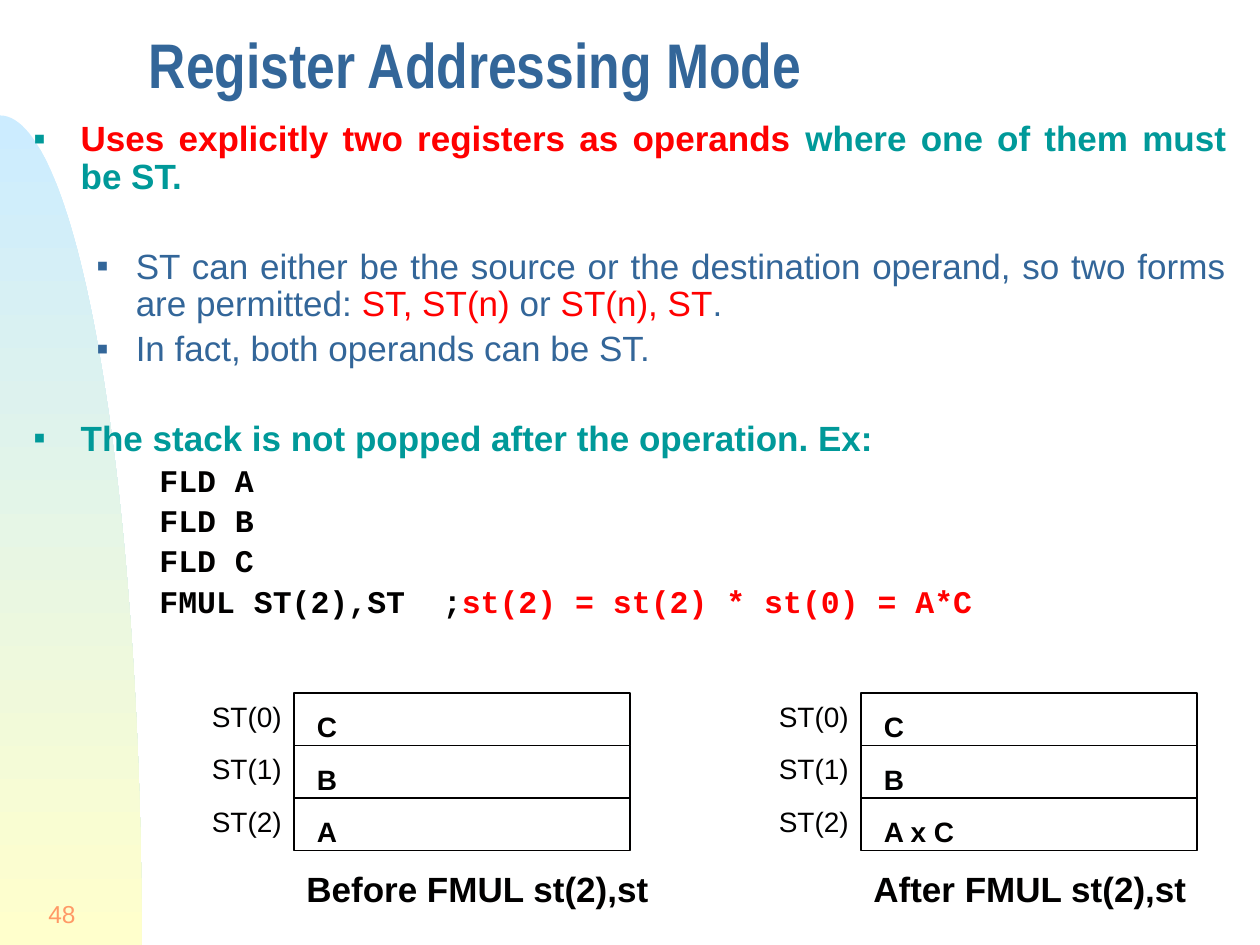
import math

import pptx
import pptx.dml.color
import pptx.enum.shapes
import pptx.enum.text
import pptx.oxml.ns
import pptx.util
from lxml import etree

EMU_PER_PX = 9525
BLACK, RED, BLUE, TEAL = "010000", "FF0000", "336699", "009999"
ALIGN = pptx.enum.text.PP_ALIGN
ANCHOR = pptx.enum.text.MSO_ANCHOR
AUTO_SIZE = pptx.enum.text.MSO_AUTO_SIZE


def px(length):
    return pptx.util.Emu(length * EMU_PER_PX)


def color(value):
    return pptx.dml.color.RGBColor.from_string(value)


class SlideBuilder:
    font_name = "Arial"
    line_spacing = 0.9
    space_before = 0.2
    blank_line = 25.5

    def __init__(self, slide):
        self.slide = slide

    def set_font(self, font, size, hex_color, bold=False, name=None):
        font.name = name or self.font_name
        font.size = pptx.util.Pt(size)
        font.bold = bold
        font.color.rgb = color(hex_color)

    def text_frame(self, left, top, width, height):
        frame = self.slide.shapes.add_textbox(px(left), px(top), px(width), px(height)).text_frame
        frame.word_wrap = True
        return frame

    def line_of_text(self, text, box, size, hex_color, bold=False, name=None,
                     align=ALIGN.LEFT, spacing=None):
        frame = self.text_frame(*box)
        frame.vertical_anchor = ANCHOR.MIDDLE
        paragraph = frame.paragraphs[0]
        paragraph.text = text
        paragraph.alignment = align
        paragraph.line_spacing = spacing
        self.set_font(paragraph.font, size, hex_color, bold, name)

    def label(self, text, box, size, bold=False):
        frame = self.text_frame(*box)
        frame.word_wrap = False
        frame.auto_size = AUTO_SIZE.SHAPE_TO_FIT_TEXT
        paragraph = frame.paragraphs[0]
        paragraph.text = text
        self.set_font(paragraph.font, size, BLACK, bold)

    def bullet(self, paragraph, hex_color):
        properties = paragraph._p.get_or_add_pPr()
        qn = pptx.oxml.ns.qn
        bullet_color = etree.SubElement(properties, qn("a:buClr"))
        etree.SubElement(bullet_color, qn("a:srgbClr"), val=hex_color)
        etree.SubElement(properties, qn("a:buFont"), typeface=self.font_name)
        etree.SubElement(properties, qn("a:buChar"), char="▪")

    def body(self, box, items):
        styles = {
            "point": (0, 36, -36, 20, TEAL, True, None),
            "detail": (1, 78, -30, 20, BLUE, False, None),
            "code": (2, 120, -24, 18, BLACK, True, "Courier New"),
        }
        frame = self.text_frame(*box)
        for index, (kind, gap, runs) in enumerate(items):
            level, margin, indent, size, base, bold, name = styles[kind]
            paragraph = frame.add_paragraph() if index else frame.paragraphs[0]
            paragraph.level = level
            paragraph.alignment = ALIGN.JUSTIFY
            paragraph.line_spacing = self.line_spacing
            extra = self.blank_line if gap else 0
            paragraph.space_before = pptx.util.Pt(size * self.space_before + extra)
            properties = paragraph._p.get_or_add_pPr()
            properties.set("marL", str(px(margin)))
            properties.set("indent", str(px(indent)))
            if kind != "code":
                self.bullet(paragraph, base)
            self.set_font(paragraph.font, size, base, bold, name)
            for text, accent in runs:
                run = paragraph.add_run()
                run.text = text
                if accent:
                    run.font.color.rgb = color(accent)

    def cell(self, left, top, width, height):
        shape = self.slide.shapes.add_shape(
            pptx.enum.shapes.MSO_SHAPE.RECTANGLE, px(left), px(top), px(width), px(height))
        shape.shadow.inherit = False
        shape.fill.background()
        shape.line.color.rgb = color(BLACK)
        shape.line.width = pptx.util.Pt(1)

    def side_curve(self, top, width, height, steps=60):
        angles = [math.pi / 2 * step / steps for step in range(1, steps + 1)]
        arc = [(px(1) * width * math.sin(angle), px(1) * (top + height - height * math.cos(angle)))
               for angle in angles]
        builder = self.slide.shapes.build_freeform(0, px(top))
        builder.add_line_segments(arc + [(0, px(top + height))], close=True)
        shape = builder.convert_to_shape()
        shape.shadow.inherit = False
        shape.line.fill.background()
        shape.fill.gradient()
        shape.fill.gradient_angle = 270
        for stop, hex_color in zip(shape.fill.gradient_stops, ("CCECFF", "FFFFCC")):
            stop.color.rgb = color(hex_color)

    def register_stack(self, left, values, caption, caption_width):
        top, row_height = 528, 40
        for row, (value, value_width) in enumerate(values):
            row_top = top + row * row_height
            self.cell(left, row_top, 256, row_height)
            self.label(f"ST({row})", (left - 72, row_top, 73, 35), 16)
            self.label(value, (left + 8, row_top + 8, value_width, 35), 16, bold=True)
        self.label(caption, (left, top + 128, caption_width, 41), 20, bold=True)


def main():
    presentation = pptx.Presentation()
    presentation.slide_width = px(960)
    presentation.slide_height = px(720)
    builder = SlideBuilder(presentation.slides.add_slide(presentation.slide_layouts[6]))

    builder.side_curve(88, 108, 632)
    builder.line_of_text("48", (0, 672, 67, 48), 14, "FF9966", align=ALIGN.RIGHT)
    builder.line_of_text("Register Addressing Mode", (104, 16, 828, 78), 36, BLUE,
                         bold=True, name="Arial Narrow", spacing=0.7)

    builder.body((16, 88, 928, 424), [
        ("point", False, [("Uses explicitly two registers as operands ", RED),
                          ("where one of them must be ST.", None)]),
        ("detail", True, [("ST can either be the source or the destination operand, "
                           "so two forms are permitted: ", None),
                          ("ST, ST(n) ", RED), ("or ", None), ("ST(n), ST", RED), (".", None)]),
        ("detail", False, [("In fact, both operands can be ST.", None)]),
        ("point", True, [("The stack is not popped after the operation. Ex:", None)]),
        ("code", False, [("FLD A", None)]),
        ("code", False, [("FLD B", None)]),
        ("code", False, [("FLD C", None)]),
        ("code", False, [("FMUL ST(2),ST\t;", None), ("st(2) = st(2) * st(0) = A*C", RED)]),
    ])

    builder.register_stack(224, [("C", 35), ("B", 35), ("A", 35)], "Before FMUL st(2),st", 280)
    builder.register_stack(656, [("C", 35), ("B", 35), ("A x C", 74)], "After FMUL st(2),st", 258)

    presentation.save("out.pptx")


if __name__ == "__main__":
    main()
